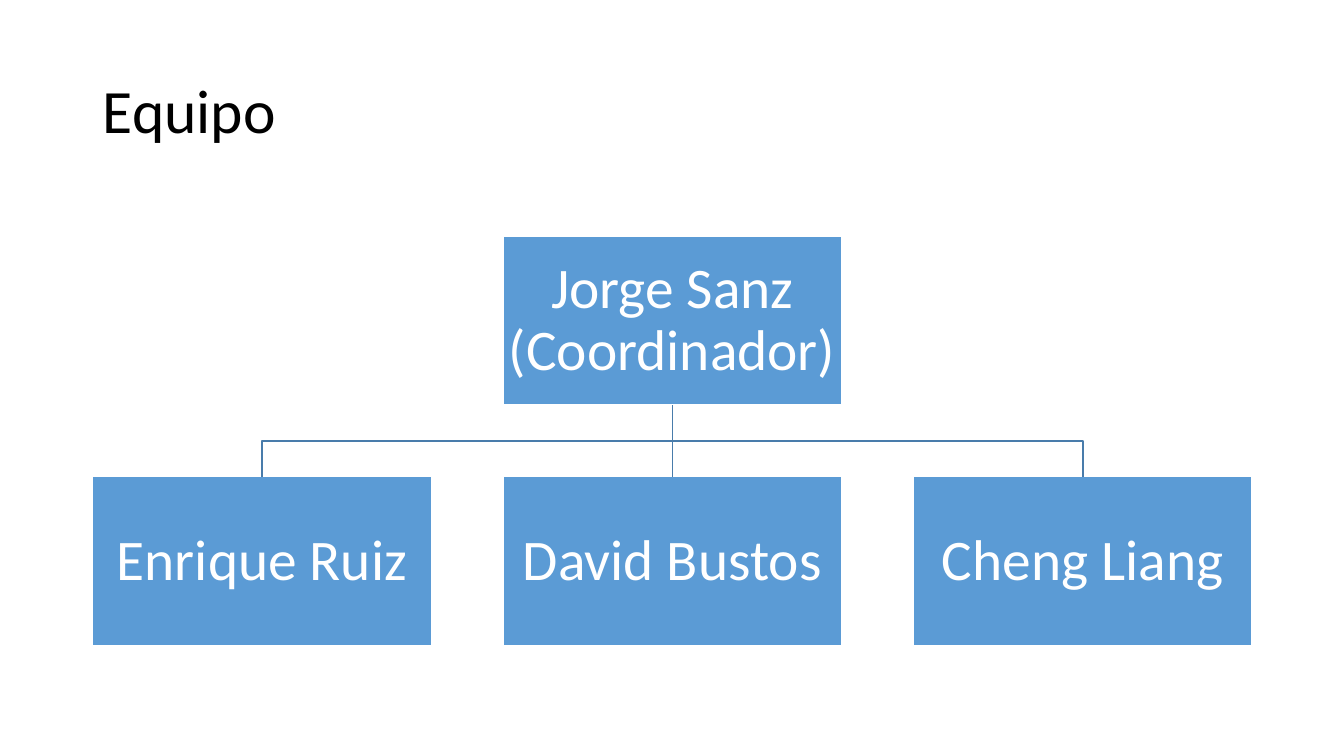
from dataclasses import dataclass

import pptx
import pptx.dml.color
import pptx.enum.shapes
import pptx.enum.text
import pptx.util
from pptx.util import Inches


@dataclass(frozen=True)
class Theme:
    font: str = "Calibri"
    title_color: str = "000000"
    box_fill: str = "5B9BD5"
    box_text: str = "FFFFFF"
    box_border: str = "FFFFFF"
    branch_line: str = "497CAB"
    title_size: int = 44
    name_size: int = 41
    line_width: int = 1


THEME = Theme()
COORDINATOR = "Jorge Sanz (Coordinador)"
MEMBERS = ["Enrique Ruiz", "David Bustos", "Cheng Liang"]
BOX_WIDTH, BOX_HEIGHT = 3.36, 1.68
FIRST_LEFT, COLUMN_STEP = 0.92, 4.07
COORDINATOR_TOP, MEMBERS_TOP = 2.34, 4.73


def rgb(color):
    return pptx.dml.color.RGBColor.from_string(color)


def format_text(text_frame, size, color, alignment):
    text_frame.word_wrap = True
    text_frame.auto_size = pptx.enum.text.MSO_AUTO_SIZE.NONE
    text_frame.vertical_anchor = pptx.enum.text.MSO_ANCHOR.MIDDLE
    for paragraph in text_frame.paragraphs:
        paragraph.alignment = alignment
        paragraph.line_spacing = 0.9
        for run in paragraph.runs:
            run.font.name = THEME.font
            run.font.size = pptx.util.Pt(size)
            run.font.color.rgb = rgb(color)


def format_line(line, color):
    line.color.rgb = rgb(color)
    line.width = pptx.util.Pt(THEME.line_width)


def set_title(slide, text):
    title = slide.shapes.title
    title.left, title.top = Inches(0.92), Inches(0.4)
    title.width, title.height = Inches(11.5), Inches(1.45)
    title.text_frame.text = text
    format_text(title.text_frame, THEME.title_size, THEME.title_color,
                pptx.enum.text.PP_ALIGN.LEFT)


def add_person(slide, name, left, top):
    box = slide.shapes.add_shape(
        pptx.enum.shapes.MSO_SHAPE.RECTANGLE,
        Inches(left), Inches(top), Inches(BOX_WIDTH), Inches(BOX_HEIGHT))
    box.shadow.inherit = False
    box.fill.solid()
    box.fill.fore_color.rgb = rgb(THEME.box_fill)
    format_line(box.line, THEME.box_border)
    text_frame = box.text_frame
    text_frame.text = name
    text_frame.margin_left = text_frame.margin_right = Inches(0.03)
    text_frame.margin_top = text_frame.margin_bottom = Inches(0.03)
    format_text(text_frame, THEME.name_size, THEME.box_text,
                pptx.enum.text.PP_ALIGN.CENTER)
    return box


def add_straight_branch(slide, coordinator, member):
    branch = slide.shapes.add_connector(
        pptx.enum.shapes.MSO_CONNECTOR.STRAIGHT, 0, 0, 0, 0)
    branch.begin_connect(coordinator, 2)
    branch.end_connect(member, 0)
    properties = branch._element.spPr
    format_line(branch.line, THEME.branch_line)
    properties.append(pptx.oxml.parse_xml(
        '<a:effectLst xmlns:a='
        '"http://schemas.openxmlformats.org/drawingml/2006/main"/>'))


def add_elbow_branch(slide, coordinator, member):
    start_x = coordinator.left + coordinator.width // 2
    start_y = coordinator.top + coordinator.height
    end_x = member.left + member.width // 2
    middle_y = (start_y + member.top) // 2
    builder = slide.shapes.build_freeform(start_x, start_y)
    builder.add_line_segments(
        [(start_x, middle_y), (end_x, middle_y), (end_x, member.top)],
        close=False)
    branch = builder.convert_to_shape()
    branch.shadow.inherit = False
    branch.fill.background()
    format_line(branch.line, THEME.branch_line)


def main():
    presentation = pptx.Presentation()
    presentation.slide_width = Inches(13.33)
    presentation.slide_height = Inches(7.5)
    slide = presentation.slides.add_slide(presentation.slide_layouts[5])
    set_title(slide, "Equipo")

    coordinator = add_person(
        slide, COORDINATOR, FIRST_LEFT + COLUMN_STEP, COORDINATOR_TOP)
    for column, name in enumerate(MEMBERS):
        member = add_person(
            slide, name, FIRST_LEFT + column * COLUMN_STEP, MEMBERS_TOP)
        if member.left == coordinator.left:
            add_straight_branch(slide, coordinator, member)
        else:
            add_elbow_branch(slide, coordinator, member)

    presentation.save("out.pptx")


if __name__ == "__main__":
    main()
